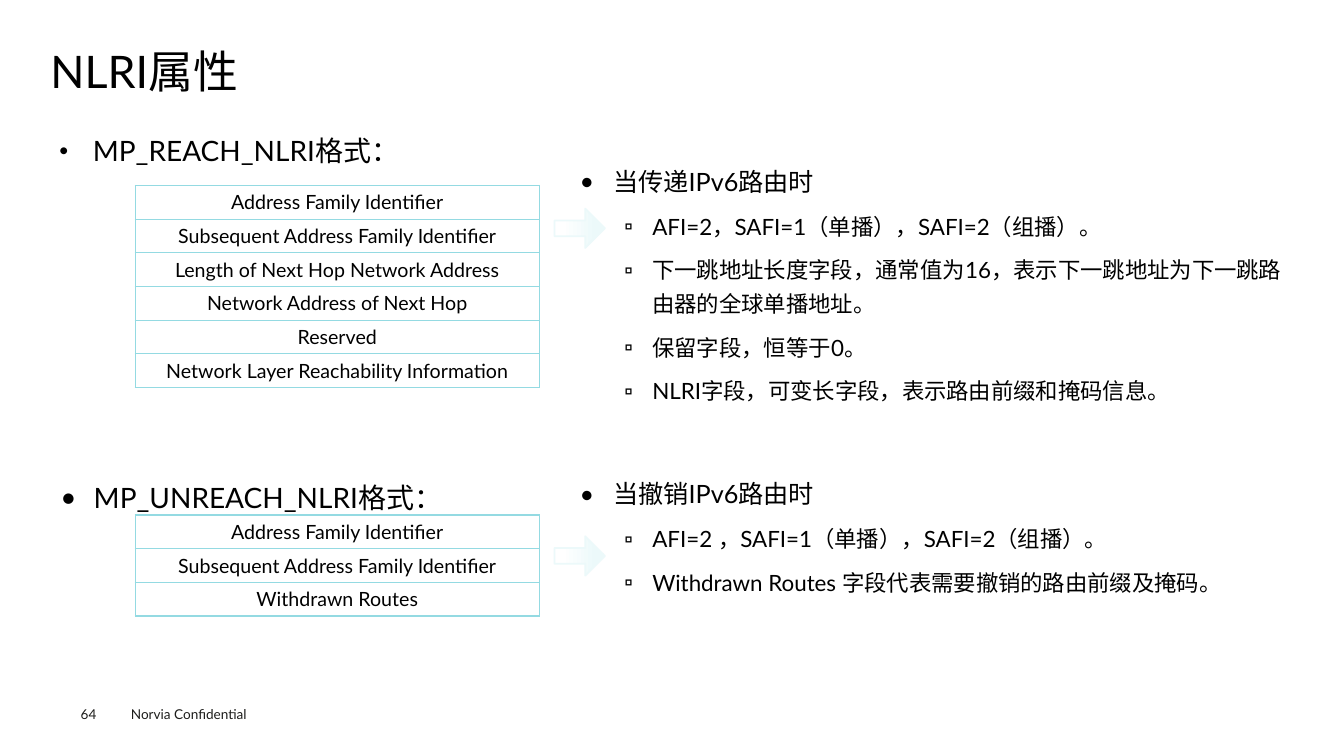
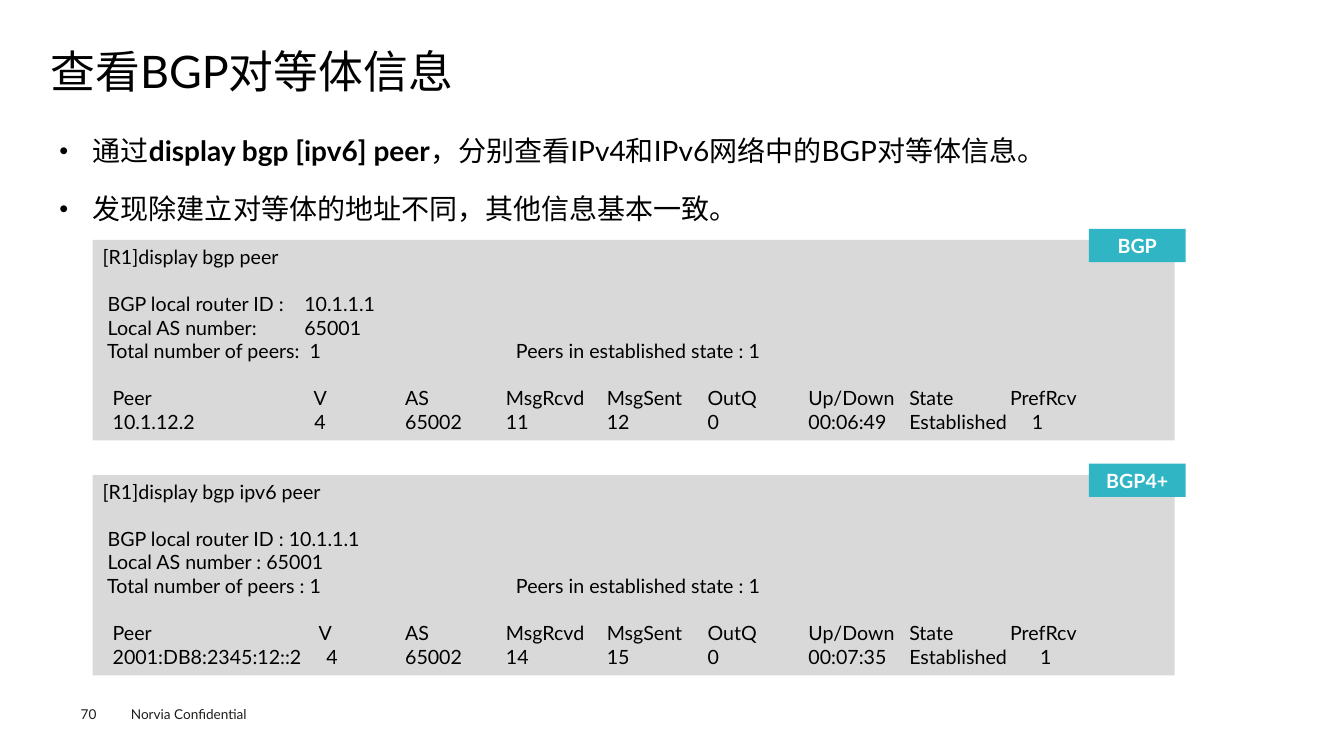
from dataclasses import dataclass, replace
from typing import Optional

from lxml.etree import SubElement
from pptx import Presentation
from pptx.dml.color import RGBColor
from pptx.enum.shapes import MSO_SHAPE
from pptx.enum.text import MSO_ANCHOR, PP_ALIGN
from pptx.oxml.ns import qn
from pptx.slide import Slide
from pptx.text.text import TextFrame
from pptx.util import Inches, Pt

FONT = "Lato"
BLACK = RGBColor(0x00, 0x00, 0x00)
WHITE = RGBColor(0xFF, 0xFF, 0xFF)
FOOTER_INK = RGBColor(0x1D, 0x1D, 0x1B)
PANEL_GREY = RGBColor(0xD9, 0xD9, 0xD9)
TAG_TEAL = RGBColor(0x30, 0xB5, 0xC5)
BORDER_TEAL = RGBColor(0x94, 0xDA, 0xE2)
ARROW_TINT = RGBColor(0xEC, 0xF9, 0xFA)

FOOTER = "Norvia Confidential"
ROW_HEIGHT = int(Inches(1) / 3)
TAB_COUNT = 9


@dataclass(frozen=True)
class Box:
    left: float
    top: float
    width: float
    height: float

    def lengths(self) -> tuple[int, int, int, int]:
        return Inches(self.left), Inches(self.top), Inches(self.width), Inches(self.height)


@dataclass(frozen=True)
class Style:
    size: float
    color: RGBColor = BLACK
    bold: bool = False
    align: Optional[PP_ALIGN] = None
    line_spacing: Optional[float] = None
    space_before: float = 0
    indent: float = 0
    hanging: float = 0
    level: int = 0
    bullet: str = ""
    bullet_percent: int = 100
    tabs: bool = False


@dataclass(frozen=True)
class Line:
    text: str
    style: Style
    bold_part: str = ""


@dataclass(frozen=True)
class MessageFormat:
    heading: Line
    heading_box: Box
    fields: tuple[str, ...]
    table_top: float
    arrow_top: float
    note: str
    details: tuple[str, ...]
    note_box: Box


@dataclass(frozen=True)
class Console:
    tag: str
    top: float
    sections: tuple[tuple[str, ...], ...]


TITLE = Style(32, line_spacing=0.9)
FOOTNOTE = Style(9.7, FOOTER_INK)
BODY = Style(20, align=PP_ALIGN.JUSTIFY, line_spacing=1.4, space_before=7.9,
             indent=0.33, hanging=0.33, bullet="●", bullet_percent=50)
HEADING = replace(BODY, bullet="•", bullet_percent=100)
NOTE = replace(HEADING, size=18, line_spacing=1.25)
DETAIL = Style(16, line_spacing=1.25, space_before=7.2, indent=0.72, hanging=0.28,
               level=1, bullet="▫")
FIELD = Style(14, align=PP_ALIGN.CENTER)
TAG = Style(14, WHITE, bold=True, align=PP_ALIGN.CENTER)
CODE = Style(14, align=PP_ALIGN.LEFT, tabs=True)
CODE_SECTION = replace(CODE, space_before=16.8)

MESSAGE_FORMATS = (
    MessageFormat(
        Line("MP_REACH_NLRI格式：", BODY), Box(0.5, 1.15, 4.61, 0.69),
        ("Address Family Identifier", "Subsequent Address Family Identifier",
         "Length of Next Hop Network Address", "Network Address of Next Hop",
         "Reserved", "Network Layer Reachability Information"),
        1.84, 2.07,
        "当传递IPv6路由时",
        ("AFI=2，SAFI=1（单播），SAFI=2（组播）。",
         "下一跳地址长度字段，通常值为16，表示下一跳地址为下一跳路由器的全球单播地址。",
         "保留字段，恒等于0。",
         "NLRI字段，可变长字段，表示路由前缀和掩码信息。"),
        Box(5.66, 1.53, 7.18, 2.61)),
    MessageFormat(
        Line("MP_UNREACH_NLRI格式：", HEADING), Box(0.51, 4.59, 4.84, 0.61),
        ("Address Family Identifier", "Subsequent Address Family Identifier",
         "Withdrawn Routes"),
        5.11, 5.32,
        "当撤销IPv6路由时",
        ("AFI=2 ，SAFI=1（单播），SAFI=2（组播）。",
         "Withdrawn Routes 字段代表需要撤销的路由前缀及掩码。"),
        Box(5.66, 4.63, 7.18, 1.37)),
)

PEER_COLUMNS = "\tAS\tMsgRcvd\tMsgSent\tOutQ\tUp/Down\tState\tPrefRcv"
CONSOLES = (
    Console("BGP", 2.38, (
        ("[R1]display bgp peer",),
        (" BGP local router ID :\t10.1.1.1",
         " Local AS number:\t65001",
         " Total number of peers:  1\t\t  Peers in established state : 1"),
        ("  Peer\t\t  V" + PEER_COLUMNS,
         "  10.1.12.2\t\t  4\t65002\t11\t12\t0\t00:06:49\tEstablished     1"))),
    Console("BGP4+", 4.71, (
        ("[R1]display bgp ipv6 peer",),
        (" BGP local router ID : 10.1.1.1",
         " Local AS number : 65001",
         " Total number of peers : 1\t\t  Peers in established state : 1"),
        ("  Peer\t\t   V" + PEER_COLUMNS,
         "  2001:DB8:2345:12::2     4\t65002\t14\t15\t0\t00:07:35\tEstablished\t      1"))),
)


def write_lines(frame: TextFrame, lines: list[Line]) -> None:
    for index, line in enumerate(lines):
        style = line.style
        paragraph = frame.add_paragraph() if index else frame.paragraphs[0]
        properties = paragraph._p.get_or_add_pPr()
        if style.bullet:
            properties.set("marL", str(Inches(style.indent)))
            properties.set("indent", str(-Inches(style.hanging)))
            SubElement(properties, qn("a:buSzPct"), val=str(style.bullet_percent * 1000))
            SubElement(properties, qn("a:buFont"), typeface=FONT)
            SubElement(properties, qn("a:buChar"), char=style.bullet)
        if style.tabs:
            tab_list = SubElement(properties, qn("a:tabLst"))
            for position in range(1, TAB_COUNT + 1):
                SubElement(tab_list, qn("a:tab"), pos=str(Inches(position)), algn="l")
        paragraph.level = style.level
        paragraph.alignment = style.align
        paragraph.line_spacing = style.line_spacing
        paragraph.space_before = Pt(style.space_before if index else 0)
        font = paragraph.font
        font.name = FONT
        font.size = Pt(style.size)
        font.bold = style.bold
        font.color.rgb = style.color
        SubElement(properties.find(qn("a:defRPr")), qn("a:ea"), typeface=FONT)
        before, bold_part, after = (
            line.text.partition(line.bold_part) if line.bold_part else (line.text, "", ""))
        for text in filter(None, (before, bold_part, after)):
            run = paragraph.add_run()
            run.text = text
            if text == bold_part:
                run.font.bold = True


def add_text(slide: Slide, box: Box, lines: list[Line],
             margins: tuple[float, float] = (0.09, 0.04)) -> None:
    frame = slide.shapes.add_textbox(*box.lengths()).text_frame
    frame.word_wrap = True
    frame.margin_left = frame.margin_right = Inches(margins[0])
    frame.margin_top = frame.margin_bottom = Inches(margins[1])
    write_lines(frame, lines)


def add_panel(slide: Slide, box: Box, color: RGBColor, lines: list[Line],
              anchor: MSO_ANCHOR) -> None:
    shape = slide.shapes.add_shape(MSO_SHAPE.RECTANGLE, *box.lengths())
    shape.shadow.inherit = False
    shape.fill.solid()
    shape.fill.fore_color.rgb = color
    shape.line.fill.background()
    shape.text_frame.word_wrap = True
    shape.text_frame.vertical_anchor = anchor
    write_lines(shape.text_frame, lines)


def add_arrow(slide: Slide, top: float) -> None:
    arrow = slide.shapes.add_shape(MSO_SHAPE.RIGHT_ARROW, *Box(5.5, top, 0.5, 0.39).lengths())
    arrow.shadow.inherit = False
    arrow.adjustments[0] = 0.4
    arrow.fill.gradient()
    arrow.fill.gradient_angle = 0
    stops = zip(arrow.fill.gradient_stops, (0.15, 0.81), (WHITE, ARROW_TINT))
    for stop, position, color in stops:
        stop.position = position
        stop.color.rgb = color
    arrow.line.color.rgb = ARROW_TINT
    arrow.line.width = Pt(1.25)


def add_field_table(slide: Slide, top: float, fields: tuple[str, ...]) -> None:
    table = slide.shapes.add_table(len(fields), 1, Inches(1.34), Inches(top), Inches(4.01),
                                   ROW_HEIGHT * len(fields)).table
    table.first_row = False
    table.horz_banding = False
    for row, field in zip(table.rows, fields):
        row.height = ROW_HEIGHT
        cell = row.cells[0]
        cell.vertical_anchor = MSO_ANCHOR.MIDDLE
        properties = cell._tc.get_or_add_tcPr()
        for side in ("lnL", "lnR", "lnT", "lnB"):
            border = SubElement(properties, qn(f"a:{side}"), w=str(Pt(1)))
            border_fill = SubElement(border, qn("a:solidFill"))
            SubElement(border_fill, qn("a:srgbClr"), val=str(BORDER_TEAL))
        cell.fill.solid()
        cell.fill.fore_color.rgb = WHITE
        write_lines(cell.text_frame, [Line(field, FIELD)])


def add_message_format(slide: Slide, message: MessageFormat) -> None:
    add_text(slide, message.heading_box, [message.heading])
    add_field_table(slide, message.table_top, message.fields)
    details = [Line(text, DETAIL) for text in message.details]
    add_text(slide, message.note_box, [Line(message.note, NOTE), *details])
    add_arrow(slide, message.arrow_top)


def add_console(slide: Slide, console: Console) -> None:
    lines = [Line(text, CODE if index else CODE_SECTION)
             for section in console.sections for index, text in enumerate(section)]
    add_panel(slide, Box(0.92, console.top, 10.73, 1.99), PANEL_GREY, lines, MSO_ANCHOR.TOP)
    add_panel(slide, Box(10.8, console.top - 0.11, 0.96, 0.33), TAG_TEAL,
              [Line(console.tag, TAG)], MSO_ANCHOR.MIDDLE)


def add_slide(presentation: Presentation, title: str, number: int) -> Slide:
    slide = presentation.slides.add_slide(presentation.slide_layouts[6])
    add_text(slide, Box(1.2, 6.95, 1.6, 0.27), [Line(FOOTER, FOOTNOTE)], (0.1, 0.05))
    add_text(slide, Box(0.8, 7, 0.55, 0.16), [Line(str(number), FOOTNOTE)], (0, 0))
    add_text(slide, Box(0.5, 0.49, 12.35, 0.53), [Line(title, TITLE)], (0, 0))
    return slide


def main() -> None:
    presentation = Presentation()
    presentation.slide_width = Inches(13.33)
    presentation.slide_height = Inches(7.5)

    nlri_slide = add_slide(presentation, "NLRI属性", 64)
    for message in MESSAGE_FORMATS:
        add_message_format(nlri_slide, message)

    peer_slide = add_slide(presentation, "查看BGP对等体信息", 70)
    add_text(peer_slide, Box(0.5, 1.15, 12.35, 1.12), [
        Line("通过display bgp [ipv6] peer，分别查看IPv4和IPv6网络中的BGP对等体信息。", BODY,
             bold_part="display bgp [ipv6] peer"),
        Line("发现除建立对等体的地址不同，其他信息基本一致。", BODY),
    ])
    for console in CONSOLES:
        add_console(peer_slide, console)

    presentation.save("out.pptx")


if __name__ == "__main__":
    main()
